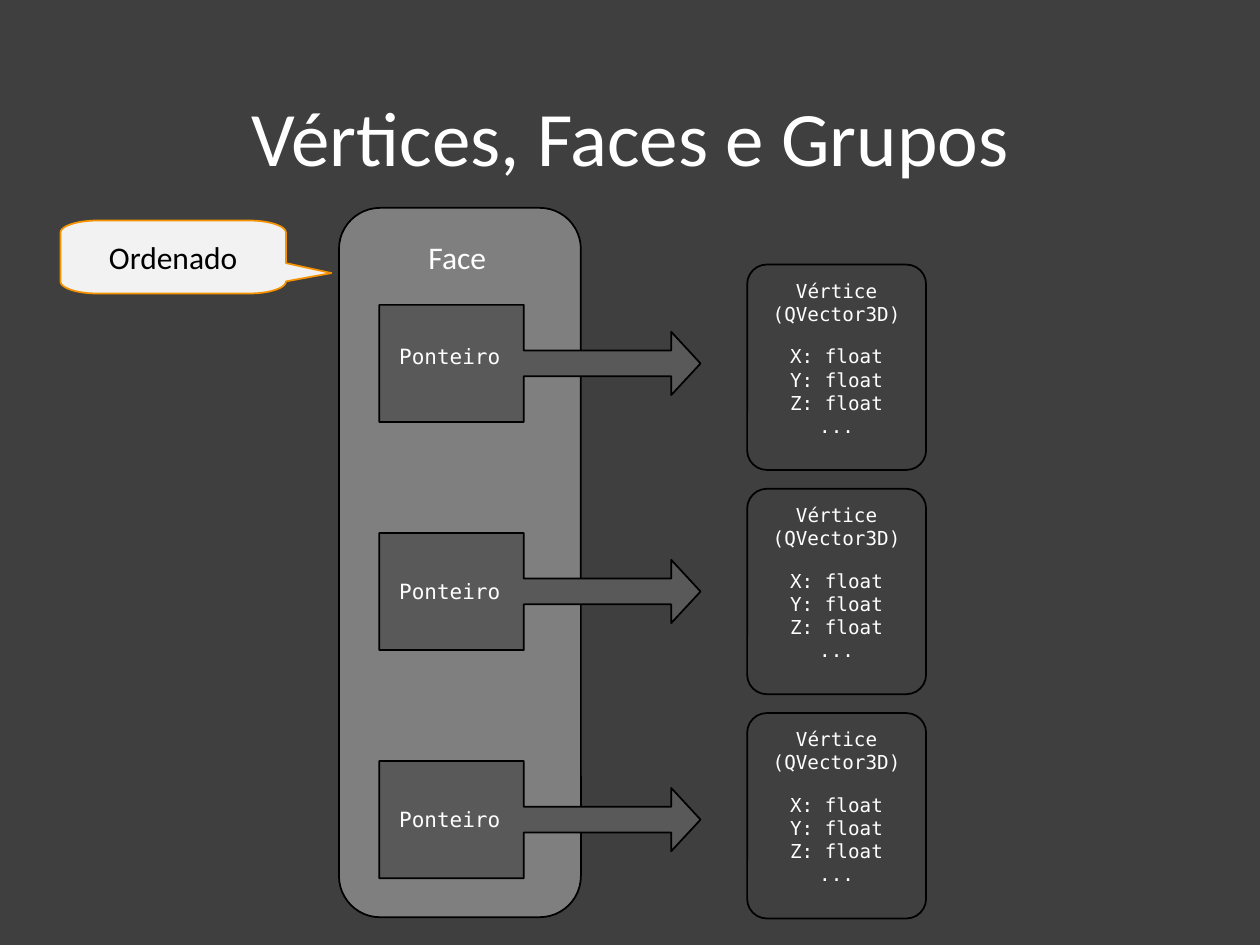
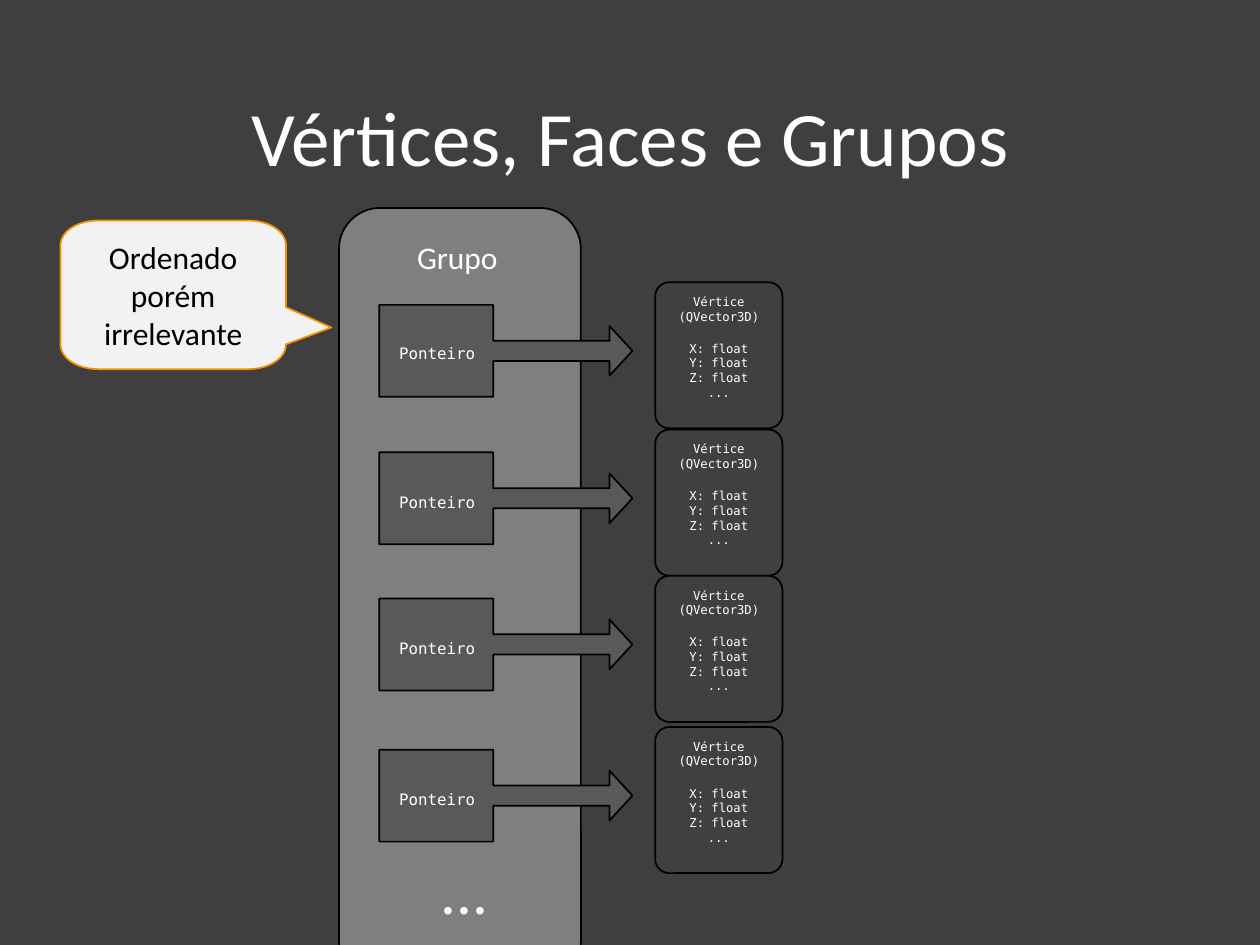
import math
from dataclasses import dataclass

import pptx
import pptx.dml.color
import pptx.enum.shapes
import pptx.enum.text
import pptx.util

Pt = pptx.util.Pt
RGB = pptx.dml.color.RGBColor.from_string
SHAPE = pptx.enum.shapes.MSO_SHAPE
ALIGN = pptx.enum.text.PP_ALIGN
ANCHOR = pptx.enum.text.MSO_ANCHOR


@dataclass(frozen=True)
class Theme:
    background: str = "3F3F3F"
    panel: str = "7F7F7F"
    vertex: str = "404040"
    pointer: str = "595959"
    balloon: str = "F2F2F2"
    balloon_line: str = "F69200"
    light: str = "FFFFFF"
    dark: str = "000000"
    sans: str = "Calibri"
    mono: str = "DejaVu Sans Mono"
    title_size: int = 44
    heading_size: int = 18
    ellipsis_size: int = 36


theme = Theme()
deck = pptx.Presentation()
deck.slide_width, deck.slide_height = pptx.util.Inches(10), pptx.util.Inches(7.5)

# One cell of the 100 x 75 grid; all positions below count cells.
CELL = deck.slide_width / 100


def write(box, lines, size, font=theme.sans, color=theme.light, align=ALIGN.CENTER):
    frame = box.text_frame
    frame.word_wrap = True
    frame.text = "\n".join(lines)
    for para in frame.paragraphs:
        para.alignment = align
        span = para.runs[0].font
        for name, value in {"name": font, "size": Pt(size)}.items():
            setattr(span, name, value)
        span.color.rgb = RGB(color)


def paint(shape, fill, line=theme.dark, adjustments=()):
    shape.shadow.inherit = False
    shape.fill.solid()
    shape.fill.fore_color.rgb = RGB(fill)
    shape.line.color.rgb = RGB(line)
    shape.line.width = Pt(1)
    for index, value in enumerate(adjustments):
        shape.adjustments[index] = value


master_fill = deck.slide_master.background.fill
master_fill.solid()
master_fill.fore_color.rgb = RGB(theme.background)
layout = deck.slide_layouts.get_by_name("Title Only")
title_area = dict(zip(("left", "top", "width", "height"), (6.9, 4, 86.3, 14.5)))
for name, cells in title_area.items():
    setattr(layout.placeholders[0], name, int(cells * CELL))

diagrams = [
    {
        "heading": "Face",
        "panel_height": 56.3,
        "pointer_tops": [24.2 + 18.1 * row for row in range(3)],
        "label_tops": [26.8, 45.4, 63.5],
        "vertex_tops": [21 + 17.8 * row for row in range(3)],
        "pointer_size": (25.5, 9.3),
        "label_width": 10.5,
        "vertex_left": 59.3,
        "vertex_size": (14.2, 16.3),
        "label_font": 12,
        "vertex_font": 11,
        "note": "Ordenado",
        "note_height": 5.8,
        "continues": False,
    },
    {
        "heading": "Grupo",
        "panel_height": 61.5,
        "pointer_tops": [24.2, 35.9, 47.5, 59.5],
        "label_tops": [26.8, 38.6, 50.2, 62.2],
        "vertex_tops": [22.4, 34.1, 45.7, 57.7],
        "pointer_size": (20.1, 7.3),
        "label_width": 8.5,
        "vertex_left": 52,
        "vertex_size": (10.1, 11.6),
        "label_font": 9,
        "vertex_font": 7,
        "note": "Ordenado porém irrelevante",
        "note_height": 11.8,
        "continues": True,
    },
]

PANEL_LEFT, PANEL_TOP, PANEL_WIDTH = 26.9, 16.5, 19.2
POINTER_LEFT = 30.1
NOTE_LEFT, NOTE_TOP, NOTE_WIDTH, NOTE_TAIL = 4.8, 17.5, 17.9, 3.6
CORNER_STEPS = 12
# Vertex texts: lines, top and height as shares of the vertex box.
vertex_texts = [
    (["Vértice (QVector3D)"], 0.04, 0.29),
    (["X: float", "Y: float", "Z: float", "..."], 0.36, 0.52),
]

for diagram in diagrams:
    page = deck.slides.add_slide(layout)
    title = page.shapes.title
    write(title, ["Vértices, Faces e Grupos"], theme.title_size)
    title.text_frame.vertical_anchor = ANCHOR.MIDDLE
    title.text_frame.paragraphs[0].line_spacing = 0.9

    panel_area = (PANEL_LEFT, PANEL_TOP, PANEL_WIDTH, diagram["panel_height"])
    panel = page.shapes.add_shape(
        SHAPE.ROUNDED_RECTANGLE, *[int(cells * CELL) for cells in panel_area])
    paint(panel, theme.panel, adjustments=[0.17])

    headings = [(diagram["heading"], theme.heading_size, (29, 18.4, 14.6, 4))]
    if diagram["continues"]:
        headings.append(("...", theme.ellipsis_size, (30.1, 67.1, 13.5, 7.1)))
    for words, size, area in headings:
        box = page.shapes.add_textbox(*[int(cells * CELL) for cells in area])
        write(box, [words], size)

    rows = zip(diagram["pointer_tops"], diagram["label_tops"], diagram["vertex_tops"])
    for pointer_top, label_top, vertex_top in rows:
        group = page.shapes.add_group_shape()
        vertex_left = diagram["vertex_left"]
        vertex_width, vertex_height = diagram["vertex_size"]
        vertex_area = (vertex_left, vertex_top, vertex_width, vertex_height)
        vertex = group.shapes.add_shape(
            SHAPE.ROUNDED_RECTANGLE, *[int(cells * CELL) for cells in vertex_area])
        paint(vertex, theme.vertex, adjustments=[0.11])
        for lines, top_share, height_share in vertex_texts:
            area = (vertex_left + 0.05 * vertex_width,
                    vertex_top + top_share * vertex_height,
                    0.9 * vertex_width, height_share * vertex_height)
            box = group.shapes.add_textbox(*[int(cells * CELL) for cells in area])
            write(box, lines, diagram["vertex_font"], theme.mono)

        pointer_area = (POINTER_LEFT, pointer_top, *diagram["pointer_size"])
        pointer = group.shapes.add_shape(
            SHAPE.RIGHT_ARROW_CALLOUT, *[int(cells * CELL) for cells in pointer_area])
        paint(pointer, theme.pointer, adjustments=[0.22, 0.27, 0.25, 0.45])
        label_area = (POINTER_LEFT + 0.6, label_top, diagram["label_width"], 3)
        label = group.shapes.add_textbox(*[int(cells * CELL) for cells in label_area])
        write(label, ["Ponteiro"], diagram["label_font"], theme.mono, align=ALIGN.LEFT)

    # Balloon outline in shares of its body: elliptical corners, tail on the right.
    outline = []
    corners = [(1 / 6, 1 / 6, 180), (5 / 6, 1 / 6, 270), (5 / 6, 5 / 6, 0), (1 / 6, 5 / 6, 90)]
    for center_x, center_y, start in corners:
        if start == 0:
            outline += [(1, 7 / 12), (1 + NOTE_TAIL / NOTE_WIDTH, 0.72), (1, 5 / 6)]
        for step in range(CORNER_STEPS + 1):
            angle = math.radians(start + 90 * step / CORNER_STEPS)
            outline.append((center_x + math.cos(angle) / 6, center_y + math.sin(angle) / 6))
    points = [(int((NOTE_LEFT + x * NOTE_WIDTH) * CELL),
               int((NOTE_TOP + y * diagram["note_height"]) * CELL)) for x, y in outline]
    builder = page.shapes.build_freeform(*points[0])
    builder.add_line_segments(points[1:], close=True)
    balloon = builder.convert_to_shape()
    paint(balloon, theme.balloon, theme.balloon_line)
    write(balloon, [diagram["note"]], theme.heading_size, color=theme.dark)
    balloon.text_frame.vertical_anchor = ANCHOR.MIDDLE
    balloon.text_frame.margin_right = int((NOTE_TAIL + 1) * CELL)

deck.save("out.pptx")
